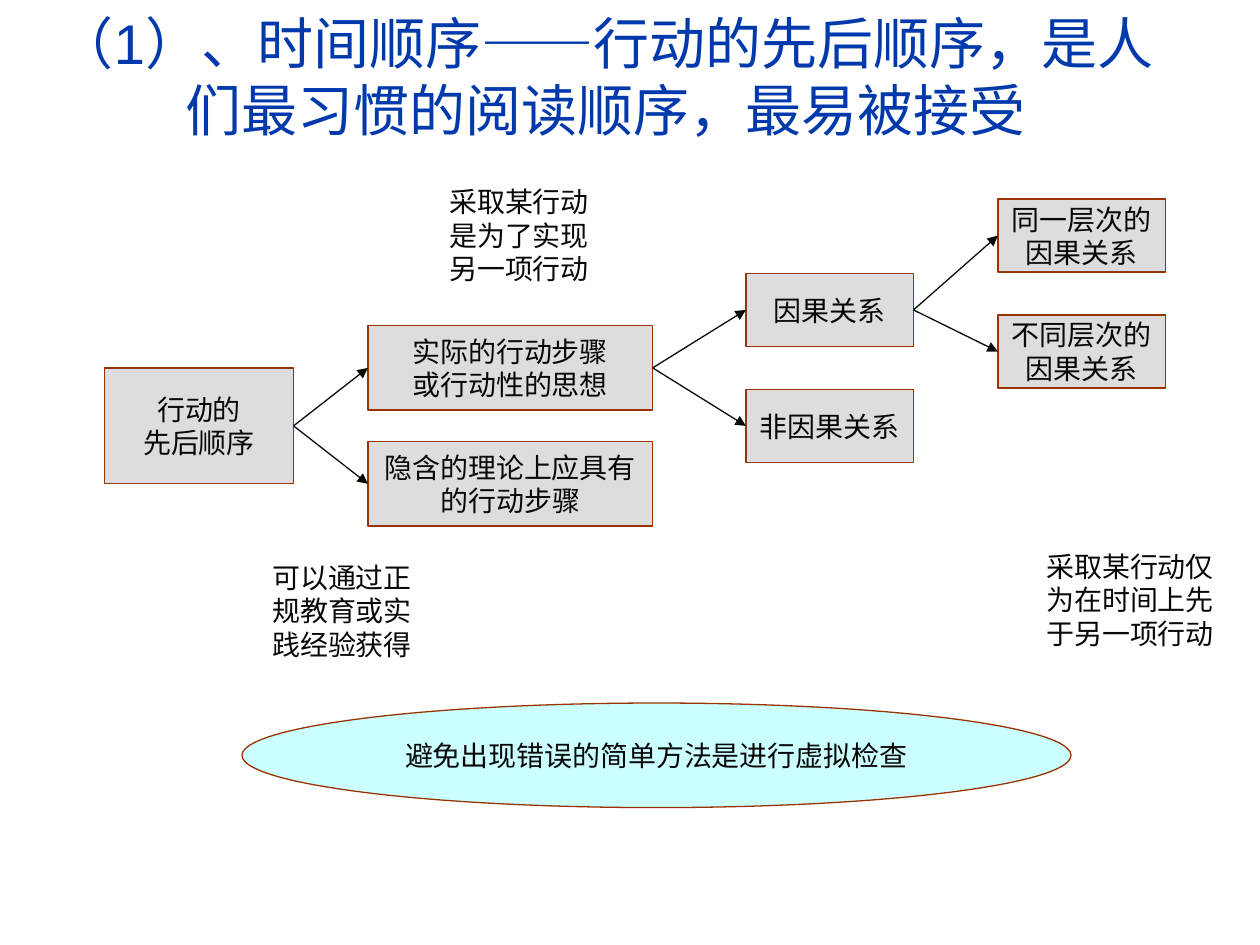
from dataclasses import dataclass
from lxml.etree import SubElement
from pptx import Presentation
from pptx.dml.color import RGBColor as RGB
from pptx.enum.shapes import MSO_CONNECTOR as Conn, MSO_SHAPE as Kind
from pptx.enum.text import MSO_ANCHOR as Anchor, MSO_AUTO_SIZE as Fit, PP_ALIGN as Align
from pptx.oxml.ns import qn
from pptx.util import Inches, Pt


@dataclass(frozen=True)
class Theme:
    ink: RGB = RGB(0x08, 0x08, 0x08)
    head: RGB = RGB(0x00, 0x39, 0xAC)
    box: RGB = RGB(0xDD, 0xDD, 0xDD)
    oval: RGB = RGB(0xCC, 0xFF, 0xFF)
    edge: RGB = RGB(0x99, 0x33, 0x00)
    line: float = 0.75
    big: int = 32
    body: int = 16
    sans: str = "Arial"
    serif: str = "Times New Roman"


theme = Theme()

TITLE = "（1）、时间顺序——行动的先后顺序，是人们最习惯的阅读顺序，最易被接受"
ADVICE = "避免出现错误的简单方法是进行虚拟检查"
STEP = 0.92
LEVELS = [
    {"left": 0.83, "size": (1.5, 0.92), "mid": 3.38, "names": ["行动的\n先后顺序"]},
    {"left": 2.92, "size": (2.26, 0.67), "mid": 2.92,
     "names": ["实际的行动步骤\n或行动性的思想", "隐含的理论上应具有的行动步骤"]},
    {"left": 5.92, "size": (1.33, 0.58), "mid": 2.46,
     "names": ["因果关系", "非因果关系"]},
    {"left": 7.92, "size": (1.33, 0.58), "mid": 1.87,
     "names": ["同一层次的\n因果关系", "不同层次的因果关系"]},
]
NOTES = [
    ("采取某行动是为了实现另一项行动", (3.42, 1.53, 1.4, 0.67)),
    ("可以通过正规教育或实践经验获得", (2, 4.51, 1.43, 0.67)),
    ("采取某行动仅为在时间上先于另一项行动", (8.19, 4.35, 1.56, 0.82)),
]


def write(shape, text, size, font, color, wrap=True):
    frame = shape.text_frame
    frame.text = text
    frame.auto_size = Fit.NONE
    frame.word_wrap = wrap
    frame.vertical_anchor = Anchor.MIDDLE
    for para in frame.paragraphs:
        para.alignment = Align.CENTER
        for run in para.runs:
            run.font.size = Pt(size)
            run.font.name = font
            run.font.color.rgb = color


def label(shape, text, wrap=True):
    write(shape, text, theme.body, theme.serif, theme.ink, wrap)


def node(slide, kind, area, text, fill, wrap=True):
    shape = slide.shapes.add_shape(kind, *map(Inches, area))
    shape.shadow.inherit = False
    shape.fill.solid()
    shape.fill.fore_color.rgb = fill
    shape.line.color.rgb = theme.edge
    shape.line.width = Pt(theme.line)
    label(shape, text, wrap)
    return shape


def arrow(slide, start, end):
    link = slide.shapes.add_connector(Conn.STRAIGHT, 0, 0, 0, 0)
    link.begin_connect(start, 3)
    link.end_connect(end, 1)
    link.line.color.rgb = theme.ink
    link.line.width = Pt(theme.line)
    SubElement(link.line._get_or_add_ln(), qn("a:tailEnd"), type="triangle")
    SubElement(link._element.spPr, qn("a:effectLst"))


def main():
    deck = Presentation()
    deck.slide_width, deck.slide_height = Inches(10), Inches(7.5)
    slide = deck.slides.add_slide(deck.slide_layouts[5])

    title = slide.shapes.title
    title.left, title.top, title.width, title.height = map(Inches, (0.35, 0.28, 8.92, 0.64))
    write(title, TITLE, theme.big, theme.sans, theme.head)

    root = None
    for level in LEVELS:
        wide, high = level["size"]
        boxes = []
        for row, name in enumerate(level["names"]):
            top = level["mid"] + row * STEP - high / 2
            area = (level["left"], top, wide, high)
            boxes.append(node(slide, Kind.RECTANGLE, area, name, theme.box))
        if root is not None:
            for box in boxes:
                arrow(slide, root, box)
        root = boxes[0]

    node(slide, Kind.OVAL, (1.92, 5.58, 6.58, 0.83), ADVICE, theme.oval, wrap=False)
    for text, area in NOTES:
        label(slide.shapes.add_textbox(*map(Inches, area)), text)

    deck.save("out.pptx")


if __name__ == "__main__":
    main()
